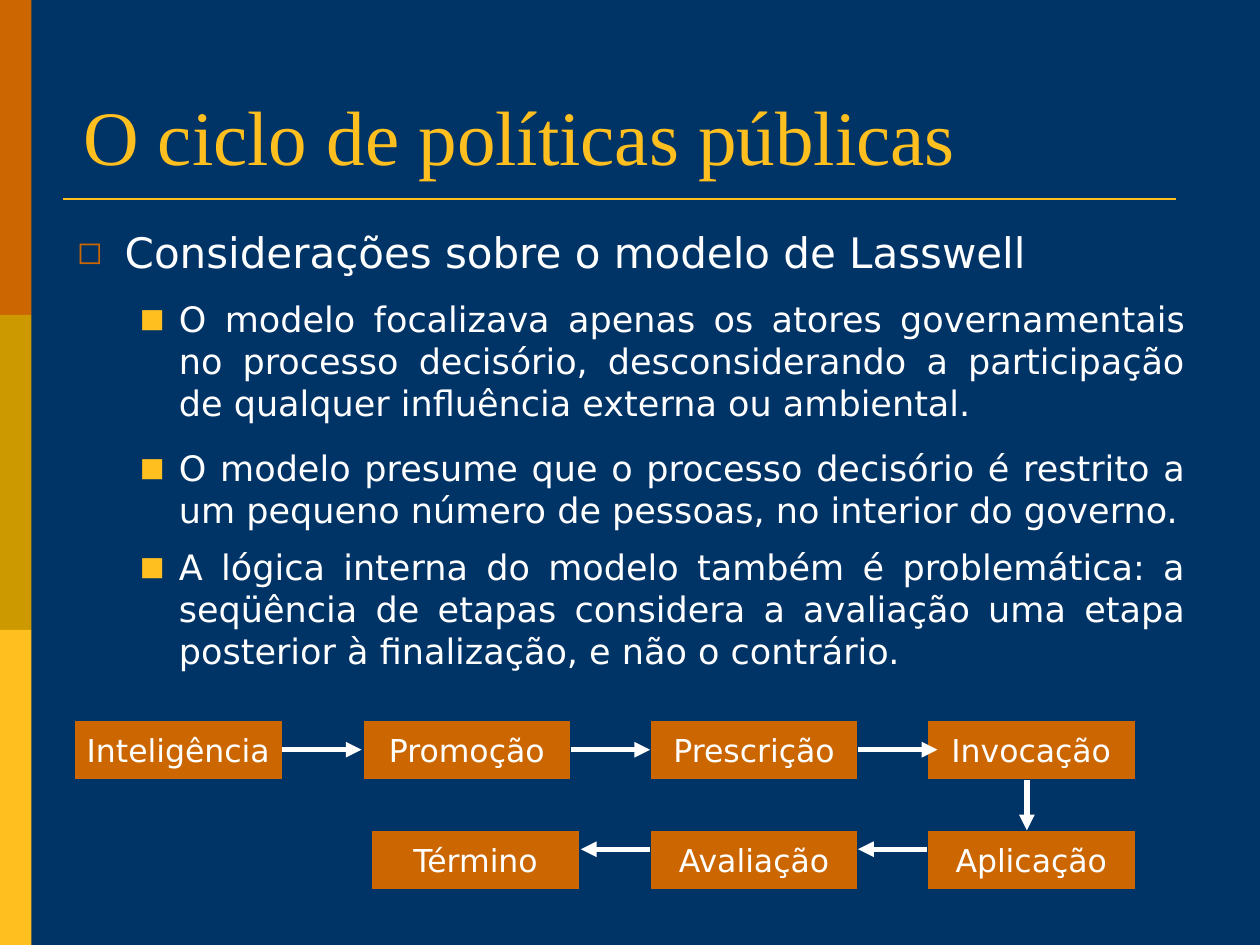
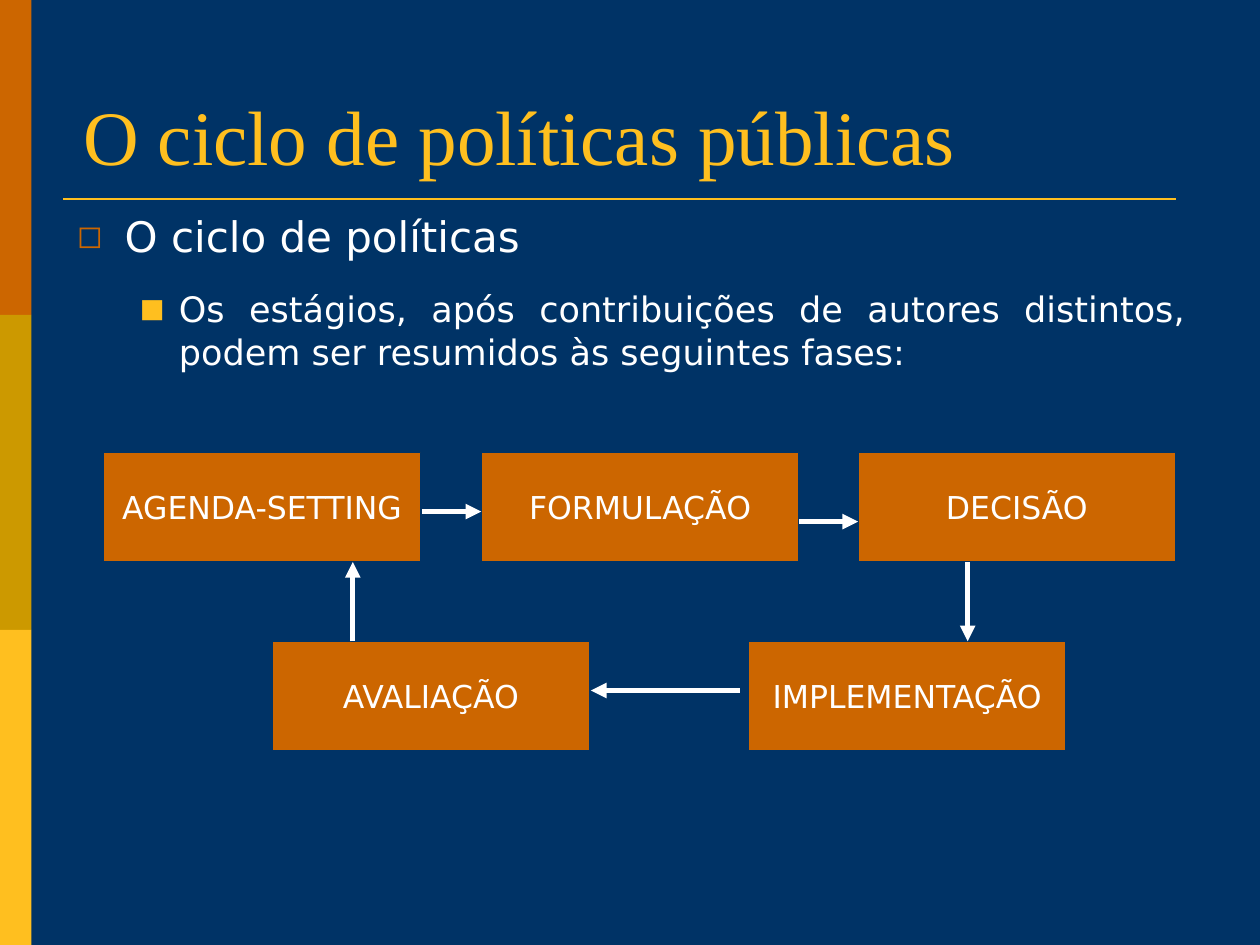
"""Builds two slides on the public policy cycle."""
from lxml import etree
from pptx import Presentation
from pptx.dml.color import RGBColor
from pptx.enum.shapes import MSO_CONNECTOR, MSO_SHAPE
from pptx.enum.text import MSO_ANCHOR, MSO_AUTO_SIZE, PP_ALIGN
from pptx.oxml.ns import qn
from pptx.util import Inches, Pt

RECTANGLE = MSO_SHAPE.RECTANGLE
STRAIGHT = MSO_CONNECTOR.STRAIGHT
BOTTOM, MIDDLE = MSO_ANCHOR.BOTTOM, MSO_ANCHOR.MIDDLE
LEFT, CENTER, JUSTIFY = PP_ALIGN.LEFT, PP_ALIGN.CENTER, PP_ALIGN.JUSTIFY
NO_AUTOFIT = MSO_AUTO_SIZE.NONE

COLORS = {
    "navy": "003366",
    "orange": "CC6600",
    "olive": "CC9900",
    "gold": "FFBF1F",
    "white": "FFFFFF",
}
TITLE_FONT, BODY_FONT = "Times New Roman", "DejaVu Sans"
TITLE = "O ciclo de políticas públicas"
LEVELS = [
    {"size": 24, "indent": 0.38, "hanging": 0.38, "bullet": "◻", "color": "orange"},
    {"size": 20, "indent": 0.81, "hanging": 0.31, "bullet": "■", "color": "gold"},
]


def rgb(name):
    return RGBColor.from_string(COLORS[name])


def place(shape, left, top, width, height):
    shape.left, shape.top = Inches(left), Inches(top)
    shape.width, shape.height = Inches(width), Inches(height)


def add_text(paragraph, text, size, font=BODY_FONT, color="white"):
    run = paragraph.add_run()
    run.text = text
    run.font.name = font
    run.font.size = Pt(size)
    run.font.color.rgb = rgb(color)


def add_rectangle(slide, left, top, width, height, color):
    shape = slide.shapes.add_shape(
        RECTANGLE, Inches(left), Inches(top), Inches(width), Inches(height))
    shape.shadow.inherit = False
    shape.fill.solid()
    shape.fill.fore_color.rgb = rgb(color)
    shape.line.fill.background()
    return shape


def add_line(slide, start, end, color, width):
    points = [Inches(value) for value in (*start, *end)]
    connector = slide.shapes.add_connector(STRAIGHT, *points)
    connector.line.color.rgb = rgb(color)
    connector.line.width = Pt(width)
    etree.SubElement(connector.element.spPr, qn("a:effectLst"))
    return connector


def add_arrow(slide, start, end):
    connector = add_line(slide, start, end, "white", 3)
    line = connector.element.spPr.find(qn("a:ln"))
    etree.SubElement(line, qn("a:tailEnd"), type="triangle")


def add_bullet(paragraph, level):
    properties = paragraph._p.get_or_add_pPr()
    properties.set("marL", str(Inches(level["indent"])))
    properties.set("indent", str(-Inches(level["hanging"])))
    color = etree.SubElement(properties, qn("a:buClr"))
    etree.SubElement(color, qn("a:srgbClr"), val=COLORS[level["color"]])
    etree.SubElement(properties, qn("a:buSzPct"), val="75000")
    etree.SubElement(properties, qn("a:buFont"), typeface=BODY_FONT)
    etree.SubElement(properties, qn("a:buChar"), char=level["bullet"])


def decorate_master(master, slide):
    master.background.fill.solid()
    master.background.fill.fore_color.rgb = rgb("navy")
    decorations = [
        add_rectangle(slide, 0, 2.5 * index, 0.25, 2.5, color)
        for index, color in enumerate(("orange", "olive", "gold"))
    ]
    decorations.append(add_line(slide, (0.5, 1.58), (9.33, 1.58), "gold", 1.5))
    for shape in decorations:
        master.shapes.element.append(shape.element)


def fill_title(slide):
    title = slide.shapes.title
    place(title, 0.56, 0.36, 8.88, 1.13)
    frame = title.text_frame
    frame.auto_size = NO_AUTOFIT
    frame.vertical_anchor = BOTTOM
    paragraph = frame.paragraphs[0]
    paragraph.alignment = LEFT
    add_text(paragraph, TITLE, 44, TITLE_FONT, "gold")


def fill_list(slide, top, height, items):
    body = slide.placeholders[1]
    place(body, 0.51, top, 9, height)
    frame = body.text_frame
    frame.auto_size = NO_AUTOFIT
    for index, (level, space_before, text) in enumerate(items):
        paragraph = frame.add_paragraph() if index else frame.paragraphs[0]
        paragraph.level = level
        add_bullet(paragraph, LEVELS[level])
        paragraph.alignment = JUSTIFY
        paragraph.space_before = Pt(space_before)
        add_text(paragraph, text, LEVELS[level]["size"])


def add_stages(slide, top, width, height, stages):
    for left, label in stages:
        box = add_rectangle(slide, left, top, width, height, "orange")
        box.line.color.rgb = rgb("navy")
        box.line.width = Pt(0.75)
        frame = box.text_frame
        frame.word_wrap = False
        frame.vertical_anchor = MIDDLE
        paragraph = frame.paragraphs[0]
        paragraph.alignment = CENTER
        add_text(paragraph, label, 18)


def build_lasswell_slide(slide):
    fill_title(slide)
    fill_list(slide, 1.75, 3.73, [
        (0, 0, "Considerações sobre o modelo de Lasswell"),
        (1, 11.5, "O modelo focalizava apenas os atores governamentais no processo "
                  "decisório, desconsiderando a participação de qualquer influência "
                  "externa ou ambiental."),
        (1, 13, "O modelo presume que o processo decisório é restrito a um pequeno "
                "número de pessoas, no interior do governo."),
        (1, 8.5, "A lógica interna do modelo também é problemática: a seqüência de "
                 "etapas considera a avaliação uma etapa posterior à finalização, "
                 "e não o contrário."),
    ])
    add_stages(slide, 5.72, 1.65, 0.47, [
        (0.59, "Inteligência"), (2.88, "Promoção"),
        (5.16, "Prescrição"), (7.36, "Invocação")])
    add_stages(slide, 6.59, 1.65, 0.47, [
        (7.36, "Aplicação"), (5.16, "Avaliação"), (2.95, "Término")])
    for left in (2.24, 4.53, 6.81):
        add_arrow(slide, (left, 5.95), (left + 0.63, 5.95))
    add_arrow(slide, (8.15, 6.19), (8.15, 6.59))
    for right in (7.36, 5.16):
        add_arrow(slide, (right, 6.74), (right - 0.55, 6.74))


def build_cycle_slide(slide):
    fill_title(slide)
    fill_list(slide, 1.62, 1.81, [
        (0, 0, "O ciclo de políticas"),
        (1, 15.5, "Os estágios, após contribuições de autores distintos, podem ser "
                  "resumidos às seguintes fases:"),
    ])
    add_stages(slide, 3.59, 2.52, 0.87, [
        (0.82, "AGENDA-SETTING"), (3.82, "FORMULAÇÃO"), (6.81, "DECISÃO")])
    add_stages(slide, 5.09, 2.52, 0.87, [
        (5.94, "IMPLEMENTAÇÃO"), (2.16, "AVALIAÇÃO")])
    add_arrow(slide, (3.35, 4.06), (3.82, 4.06))
    add_arrow(slide, (6.34, 4.14), (6.81, 4.14))
    add_arrow(slide, (7.68, 4.46), (7.68, 5.09))
    add_arrow(slide, (5.87, 5.48), (4.69, 5.48))
    add_arrow(slide, (2.8, 5.09), (2.8, 4.46))


def main():
    presentation = Presentation()
    presentation.slide_width, presentation.slide_height = Inches(10), Inches(7.5)
    layout = presentation.slide_layouts[1]
    lasswell_slide = presentation.slides.add_slide(layout)
    cycle_slide = presentation.slides.add_slide(layout)
    decorate_master(presentation.slide_master, lasswell_slide)
    build_lasswell_slide(lasswell_slide)
    build_cycle_slide(cycle_slide)
    presentation.save("out.pptx")


if __name__ == "__main__":
    main()
